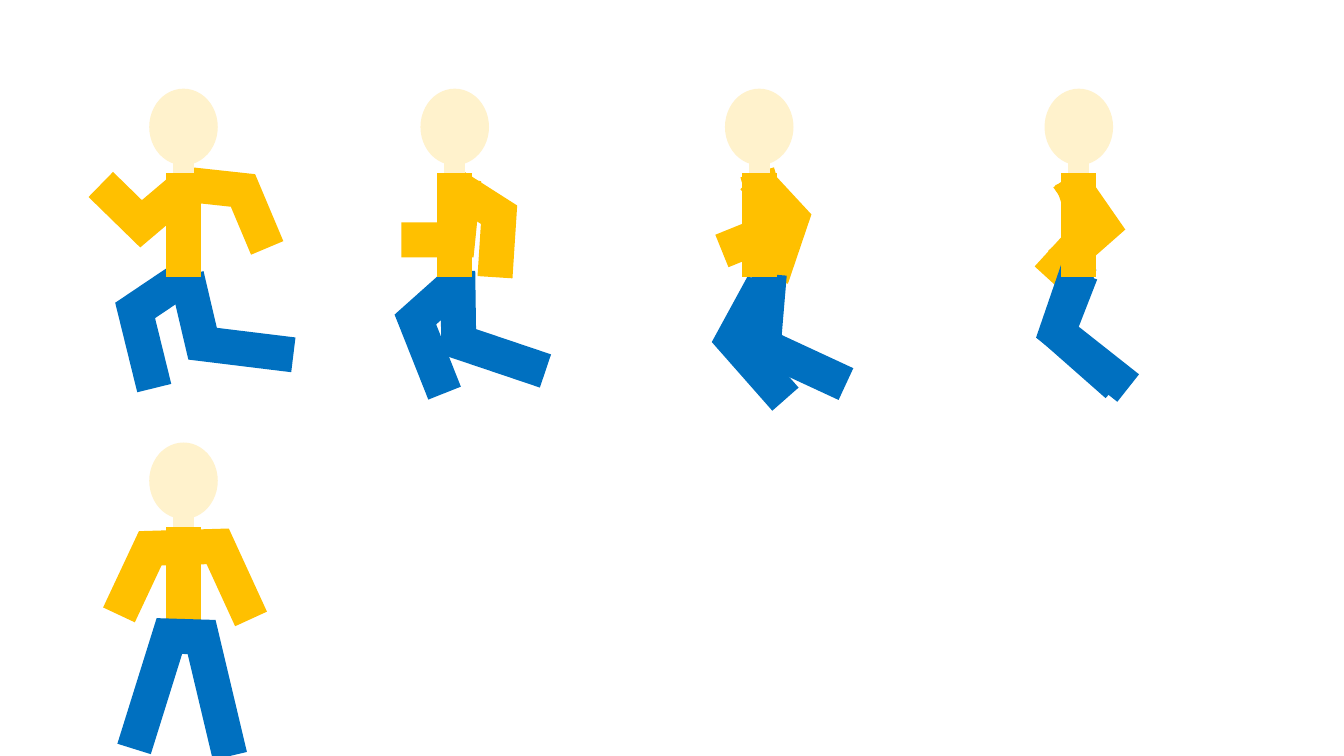
"""Draw four running poses and one standing pose of a simple figure."""
import lxml.etree
import pptx
import pptx.dml.color
import pptx.enum.shapes
import pptx.oxml.ns
import pptx.util

Inches = pptx.util.Inches
Pt = pptx.util.Pt
COLOURS = {"skin": "FFF2CC", "shirt": "FFC000", "trousers": "0070C0"}
STROKES = {"limb": {"width": Pt(25)}, "neck": {"width": Pt(15)}}


class FigureSlide:
    def __init__(self, presentation):
        self.presentation = presentation
        self.slide = presentation.slides.add_slide(presentation.slide_layouts[6])
        self.shapes = self.slide.shapes

    def colour(self, name):
        return pptx.dml.color.RGBColor.from_string(COLOURS[name])

    def stroke(self, part, colour, style):
        line = part.line
        line.fill.solid()
        line.fill.fore_color.rgb = self.colour(colour)
        for attribute, value in STROKES[style].items():
            setattr(line, attribute, value)
        outline = part._element.spPr.find(pptx.oxml.ns.qn("a:ln"))
        miter = lxml.etree.SubElement(outline, pptx.oxml.ns.qn("a:miter"))
        miter.set("lim", "800000")

    def head(self, centre, top):
        oval = pptx.enum.shapes.MSO_SHAPE.OVAL
        face = self.shapes.add_shape(oval, Inches(centre - 0.34), Inches(top),
                                     Inches(0.68), Inches(0.76))
        face.shadow.inherit = False
        face.fill.solid()
        face.fill.fore_color.rgb = self.colour("skin")
        face.line.fill.background()

    def upright(self, x, top, bottom, colour, style):
        straight = pptx.enum.shapes.MSO_CONNECTOR.STRAIGHT
        bone = self.shapes.add_connector(straight, Inches(x), Inches(top),
                                         Inches(x), Inches(bottom))
        self.stroke(bone, colour, style)
        lxml.etree.SubElement(bone._element.spPr, pptx.oxml.ns.qn("a:effectLst"))

    def limb(self, joints, colour):
        start, *rest = [(Inches(x), Inches(y)) for x, y in joints]
        builder = self.shapes.build_freeform(*start)
        builder.add_line_segments(rest, close=False)
        bent = builder.convert_to_shape()
        bent.shadow.inherit = False
        bent.fill.background()
        self.stroke(bent, colour, "limb")

    def body(self, centre, top):
        self.upright(centre, top + 0.61, top + 0.95, "skin", "neck")
        self.upright(centre, top + 0.84, top + 1.87, "shirt", "limb")

    def limbs(self, arms, legs):
        for colour, group in (("shirt", arms), ("trousers", legs)):
            for joints in group:
                self.limb(joints, colour)

    def runner(self, centre, top, arms, legs):
        self.head(centre, top)
        self.limbs(arms, legs)
        self.body(centre, top)

    def stander(self, centre, top, arms, legs):
        self.head(centre, top)
        self.body(centre, top)
        self.limbs(arms, legs)


RUNNING_POSES = [
    (1.82,
     [[(1.86, 1.83), (1.4, 2.22), (1, 1.83)],
      [(1.86, 1.83), (2.41, 1.89), (2.65, 2.46)]],
     [[(1.86, 2.73), (1.34, 3.08), (1.53, 3.85)],
      [(1.85, 2.73), (2.01, 3.41), (2.91, 3.52)]]),
    (4.51,
     [[(4.6, 1.78), (4.54, 2.38), (3.98, 2.38)],
      [(4.48, 1.83), (4.95, 2.13), (4.91, 2.75)]],
     [[(4.59, 2.75), (4.12, 3.17), (4.41, 3.9)],
      [(4.54, 2.69), (4.55, 3.39), (5.41, 3.68)]]),
    (7.53,
     [[(7.51, 1.71), (7.68, 2.28), (7.16, 2.49)],
      [(7.47, 1.76), (7.85, 2.17), (7.65, 2.76)]],
     [[(7.57, 2.82), (7.27, 3.37), (7.79, 3.96)],
      [(7.63, 2.72), (7.57, 3.43), (8.39, 3.81)]]),
    (10.7,
     [[(10.59, 1.76), (10.93, 2.25), (10.51, 2.62)],
      [(10.63, 1.78), (10.81, 2.3), (10.39, 2.76)]],
     [[(10.72, 2.71), (10.49, 3.3), (11.08, 3.82)],
      [(10.71, 2.62), (10.48, 3.29), (11.19, 3.85)]]),
]
STANDING_ARMS = [(1.18, 6.1), (1.49, 5.44), (2.16, 5.42), (2.49, 6.14)]
STANDING_LEGS = [(1.33, 7.43), (1.68, 6.31), (2, 6.32), (2.28, 7.5)]

presentation = pptx.Presentation()
presentation.slide_width = Inches(13.33)
presentation.slide_height = Inches(7.5)
figures = FigureSlide(presentation)
for centre, arms, legs in RUNNING_POSES:
    figures.runner(centre, 0.88, arms, legs)
figures.stander(1.82, 4.39, [STANDING_ARMS], [STANDING_LEGS])
presentation.save("out.pptx")
